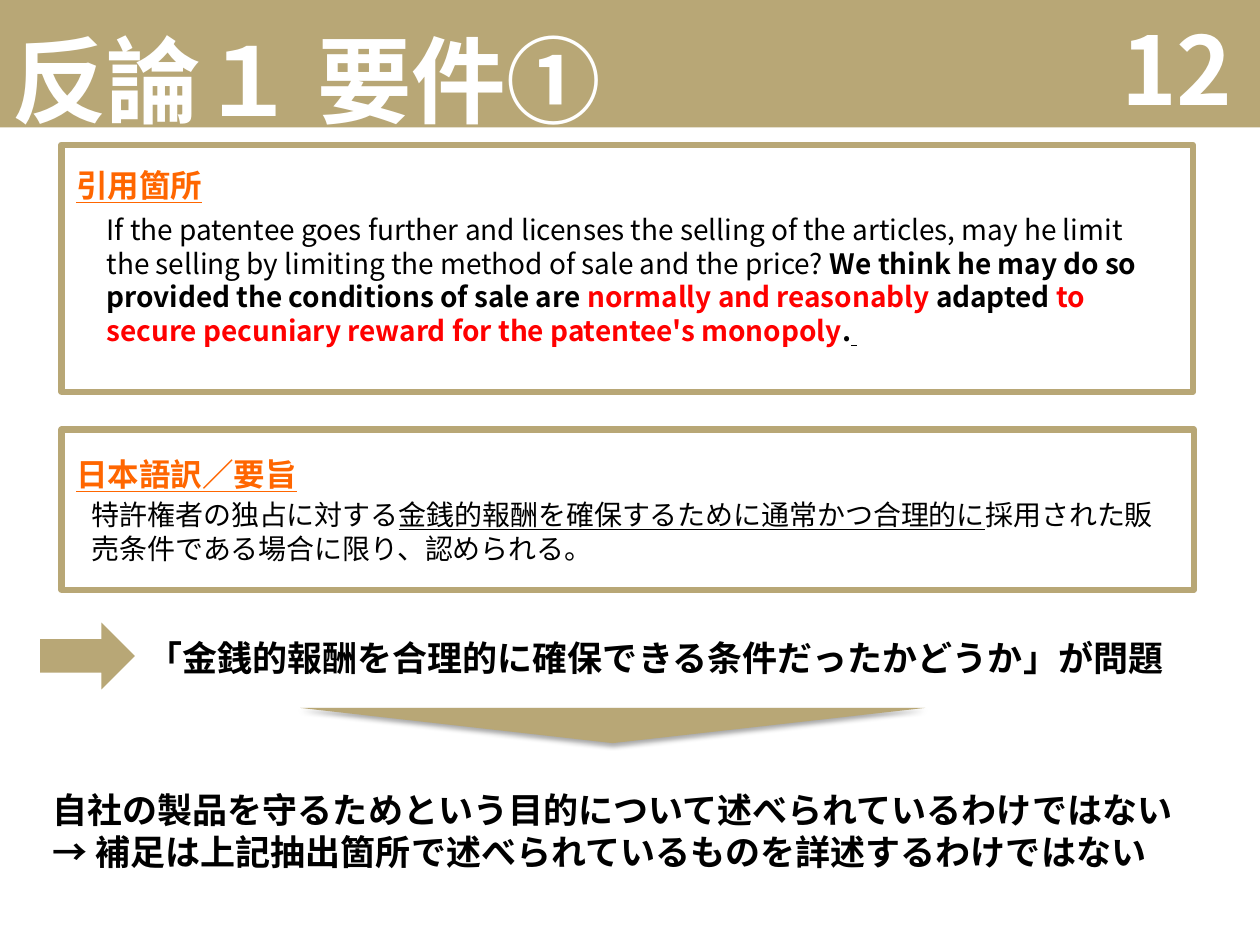
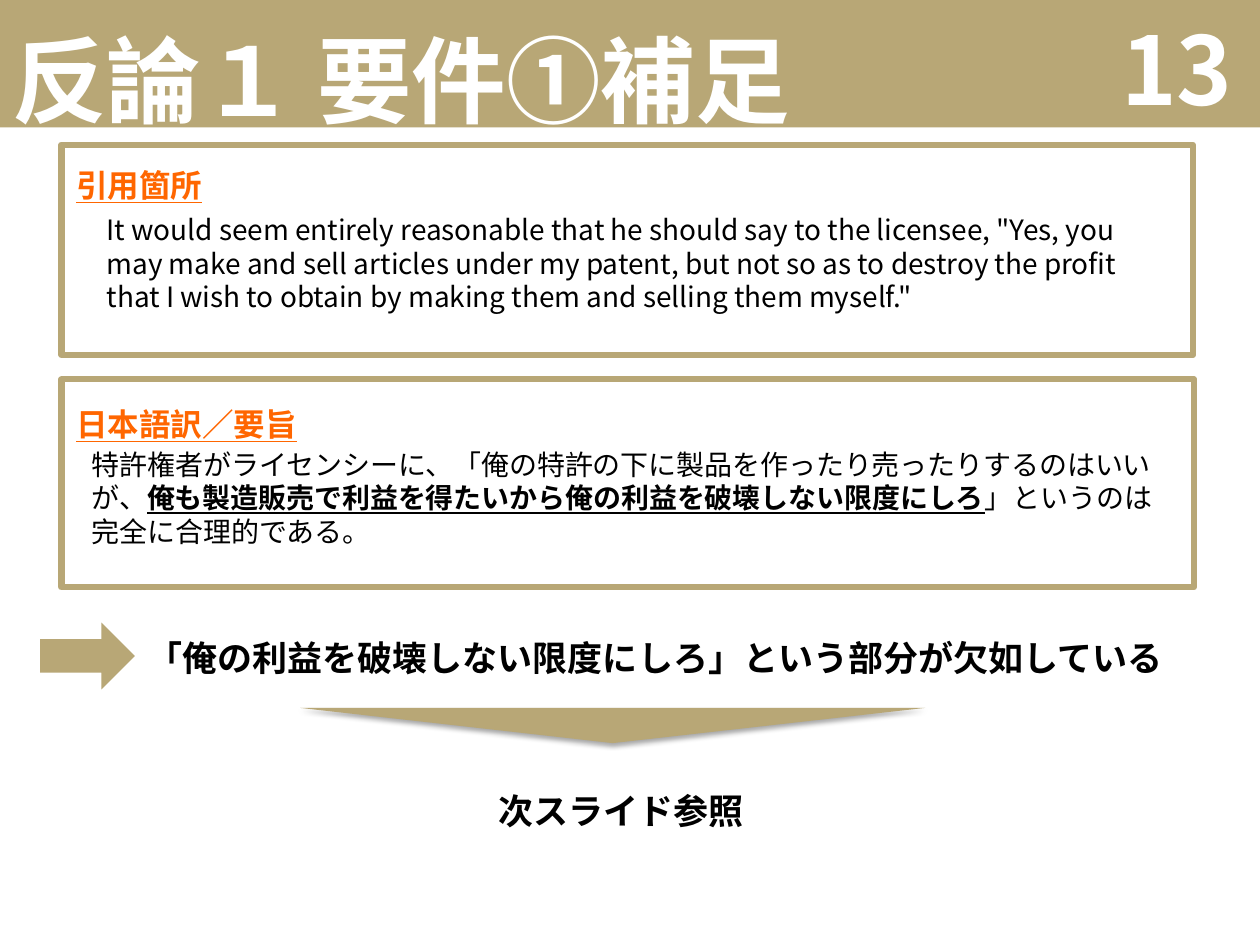
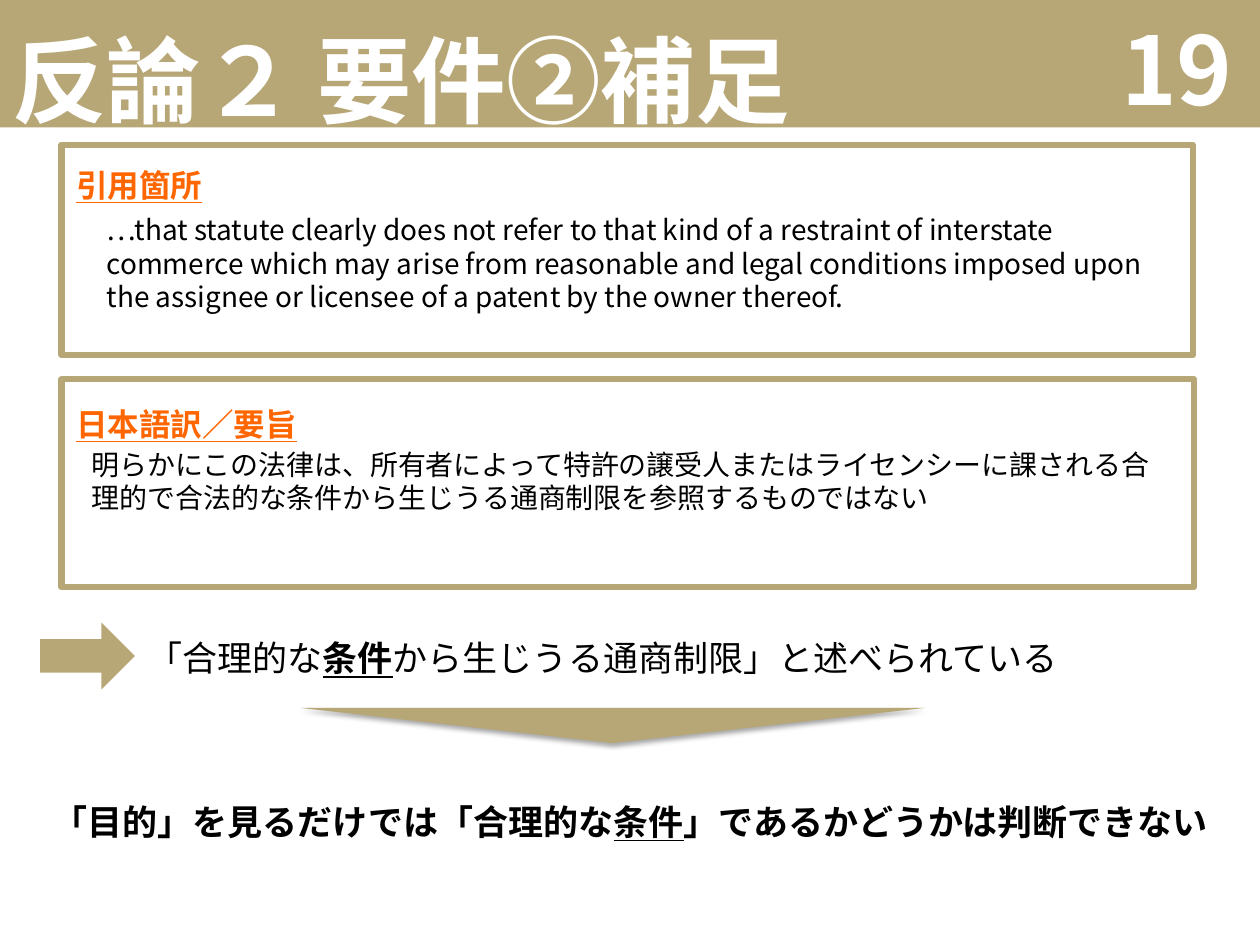
from lxml import etree
from pptx import Presentation
from pptx.dml.color import RGBColor
from pptx.enum.shapes import MSO_SHAPE
from pptx.enum.text import MSO_ANCHOR, MSO_AUTO_SIZE, PP_ALIGN
from pptx.oxml.ns import qn
from pptx.util import Cm, Pt

RECT = MSO_SHAPE.RECTANGLE
ARROW = MSO_SHAPE.RIGHT_ARROW
TRIANGLE = MSO_SHAPE.ISOSCELES_TRIANGLE
TOP, MIDDLE = MSO_ANCHOR.TOP, MSO_ANCHOR.MIDDLE
GROW, FIXED = MSO_AUTO_SIZE.SHAPE_TO_FIT_TEXT, MSO_AUTO_SIZE.NONE
LEFT, RIGHT = PP_ALIGN.LEFT, PP_ALIGN.RIGHT

COLORS = {"gold": "B8A776", "orange": "FF6600", "red": "FF0000",
          "black": "000000", "white": "FFFFFF"}
JP_FONT, TITLE_FONT = "Noto Sans CJK JP", "Lato"
LINE_RATIO = 1.2

BANNER = {"size": 54, "color": "white", "bold": True}
HEADING = {"size": 18, "color": "orange", "bold": True, "underline": True}
BODY = {"size": 16, "color": "black"}
POINT = {"size": 20, "color": "black"}
BOLD = {"bold": True}
UNDER = {"underline": True}
STRONG = BOLD | UNDER
RED = {"bold": True, "color": "red"}


def rgb(name):
    return RGBColor.from_string(COLORS[name])


def add_shape(slide, kind, box, fill=None, line=None):
    sp = slide.shapes.add_shape(kind, *map(Cm, box))
    sp.shadow.inherit = False
    if fill:
        sp.fill.solid()
        sp.fill.fore_color.rgb = rgb(fill)
    else:
        sp.fill.background()
    if line:
        sp.line.color.rgb = rgb(line)
        sp.line.width = Pt(3.5)
    else:
        sp.line.fill.background()
    return sp


def add_run(p, text, fmt, font):
    r = p.add_run()
    r.text = text
    values = {"name": font, "size": Pt(fmt["size"]),
              "bold": fmt.get("bold", False), "underline": fmt.get("underline", False)}
    for key, value in values.items():
        setattr(r.font, key, value)
    r.font.color.rgb = rgb(fmt["color"])
    ea = etree.SubElement(r.font._element, qn("a:ea"))
    ea.set("typeface", JP_FONT)


def add_text(slide, box, paragraphs, base, font=JP_FONT, align=LEFT, banner=False):
    tf = slide.shapes.add_textbox(*map(Cm, box)).text_frame
    frame = {"word_wrap": True, "vertical_anchor": MIDDLE if banner else TOP,
             "auto_size": FIXED if banner else GROW}
    if not banner:
        frame["margin_top"] = Cm(0.2)
    for key, value in frame.items():
        setattr(tf, key, value)
    for i, runs in enumerate(paragraphs):
        p = tf.add_paragraph() if i else tf.paragraphs[0]
        p.alignment = align
        if not banner:
            p.line_spacing = Pt(base["size"] * LINE_RATIO)
        for text, fmt in runs:
            add_run(p, text, base | fmt, font)


def add_banner(slide, box, title, number):
    x, y, w, h = box
    add_shape(slide, RECT, box, fill="gold")
    add_text(slide, (x, y, 28.09, 3.18), [[(title, {})]], BANNER, TITLE_FONT, banner=True)
    add_text(slide, (x + w - 6.22, y + 0.85, 5.92, 1.02), [[(number, {})]], BANNER,
             align=RIGHT, banner=True)


def add_panel(slide, box, heading, runs, heading_top, indent, body_height):
    x, y, w, h = box
    add_shape(slide, RECT, box, line="gold")
    add_text(slide, (x + 0.05, y + heading_top, 22.05, 1.02), [[(heading, {})]], HEADING)
    add_text(slide, (x + indent, y + 1.17, w - 2 * indent, body_height), [runs], BODY)


def add_point(slide, box, runs):
    x, y, w, h = box
    add_shape(slide, ARROW, (x, y, 1.91, h), fill="gold")
    add_text(slide, (x + 1.91, y + 0.08, w - 1.91, 1.12), [runs], POINT)


def add_pointer(slide, box):
    sp = add_shape(slide, TRIANGLE, box, fill="gold")
    sp.rotation = 180
    effects = sp._element.spPr.find(qn("a:effectLst"))
    shadow = etree.SubElement(effects, qn("a:outerShdw"), blurRad=str(Pt(3.1)),
                              dist=str(Pt(1.8)), dir="5400000", rotWithShape="0")
    color = etree.SubElement(shadow, qn("a:srgbClr"), val=COLORS["black"])
    etree.SubElement(color, qn("a:alpha"), val="35000")


def add_argument_slide(prs, data):
    slide = prs.slides.add_slide(prs.slide_layouts[6])
    quote_height, summary_top, summary_height = data["panels"]
    quote_body, summary_body = data["body_heights"]
    add_banner(slide, (0, 0, 25.4, 2.57), data["title"], data["number"])
    add_panel(slide, (1.24, 2.92, 22.81, quote_height), "引用箇所", data["quote"],
              0.23, 0.66, quote_body)
    add_panel(slide, (1.24, summary_top, 22.83, summary_height), "日本語訳／要旨",
              data["summary"], 0.32, 0.36, summary_body)
    add_point(slide, (0.81, 12.55, 25.76, 1.35), data["point"])
    add_pointer(slide, (6.05, 14.27, 12.6, 0.71))
    x, y = data["conclusion_at"]
    lines = data["conclusion"]
    add_text(slide, (x, y, 23.85, 0.27 + 0.85 * len(lines)), lines, POINT | BOLD)


TALL_QUOTE = (4.98, 8.66, 3.23)
EVEN_PANELS = (4.24, 7.65, 4.19)

SLIDES = [
    {
        "title": "反論１ 要件①", "number": "12",
        "panels": TALL_QUOTE, "body_heights": (3.68, 1.63),
        "quote": [
            ("If the patentee goes further and licenses the selling of the articles, "
             "may he limit the selling by limiting the method of sale and the price? ", {}),
            ("We think he may do so provided the conditions of sale are ", BOLD),
            ("normally and reasonably ", RED),
            ("adapted ", BOLD),
            ("to secure pecuniary reward for the patentee's monopoly", RED),
            (".", BOLD),
            (" ", UNDER),
        ],
        "summary": [
            ("特許権者の独占に対する", {}),
            ("金銭的報酬を確保するために通常かつ合理的に", UNDER),
            ("採用された販売条件である場合に限り、認められる。", {}),
        ],
        "point": [("「金銭的報酬を合理的に確保できる条件だったかどうか」が問題", BOLD)],
        "conclusion_at": (0.81, 15.7),
        "conclusion": [
            [("自社の製品を守るためという目的について述べられているわけではない", {})],
            [("→ 補足は上記抽出箇所で述べられているものを詳述するわけではない", {})],
        ],
    },
    {
        "title": "反論１ 要件①補足", "number": "13",
        "panels": EVEN_PANELS, "body_heights": (2.31, 2.31),
        "quote": [
            ("It would seem entirely reasonable that he should say to the licensee, "
             "\"Yes, you may make and sell articles under my patent, but not so as to "
             "destroy the profit that I wish to obtain by making them and selling them "
             "myself.\" ", {}),
        ],
        "summary": [
            ("特許権者がライセンシーに、「俺の特許の下に製品を作ったり売ったりするのはいいが、", {}),
            ("俺も製造販売で利益を得たいから俺の利益を破壊しない限度にしろ", STRONG),
            ("」というのは完全に合理的である。", {}),
        ],
        "point": [("「俺の利益を破壊しない限度にしろ」という部分が欠如している", BOLD)],
        "conclusion_at": (9.8, 15.72),
        "conclusion": [[("次スライド参照", {})]],
    },
    {
        "title": "反論２ 要件②補足", "number": "19",
        "panels": EVEN_PANELS, "body_heights": (2.31, 1.63),
        "quote": [
            ("…that statute clearly does not refer to that kind of a restraint of "
             "interstate commerce which may arise from reasonable and legal conditions "
             "imposed upon the assignee or licensee of a patent by the owner thereof.", {}),
        ],
        "summary": [
            ("明らかにこの法律は、所有者によって特許の譲受人またはライセンシーに課される"
             "合理的で合法的な条件から生じうる通商制限を参照するものではない", {}),
        ],
        "point": [
            ("「合理的な", {}),
            ("条件", STRONG),
            ("から生じうる通商制限」と述べられている", {}),
        ],
        "conclusion_at": (0.81, 15.93),
        "conclusion": [[
            ("「目的」を見るだけでは「合理的な", {}),
            ("条件", UNDER),
            ("」であるかどうかは判断できない", {}),
        ]],
    },
]

prs = Presentation()
prs.slide_width, prs.slide_height = Cm(25.4), Cm(19.05)
for data in SLIDES:
    add_argument_slide(prs, data)
prs.save("out.pptx")
